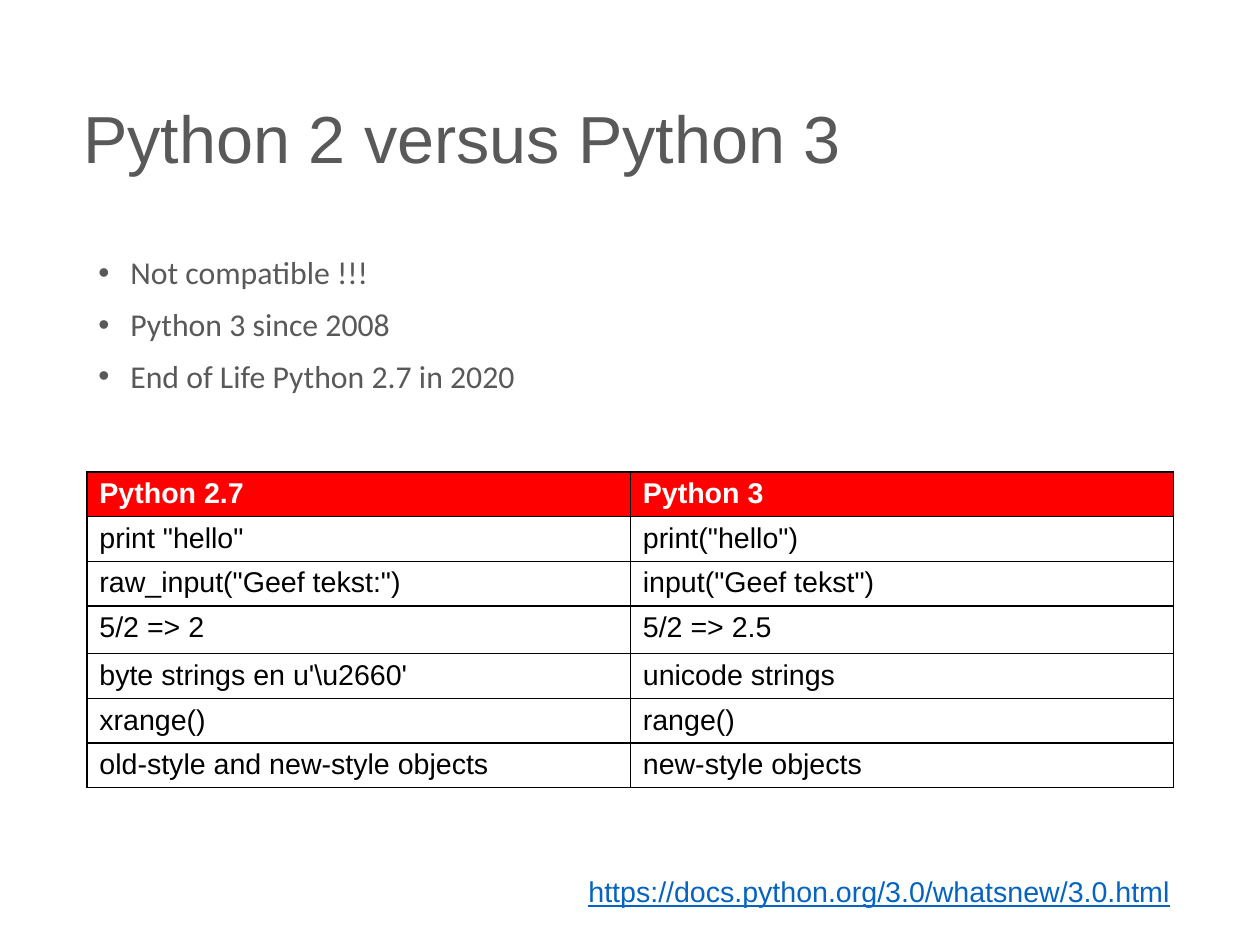
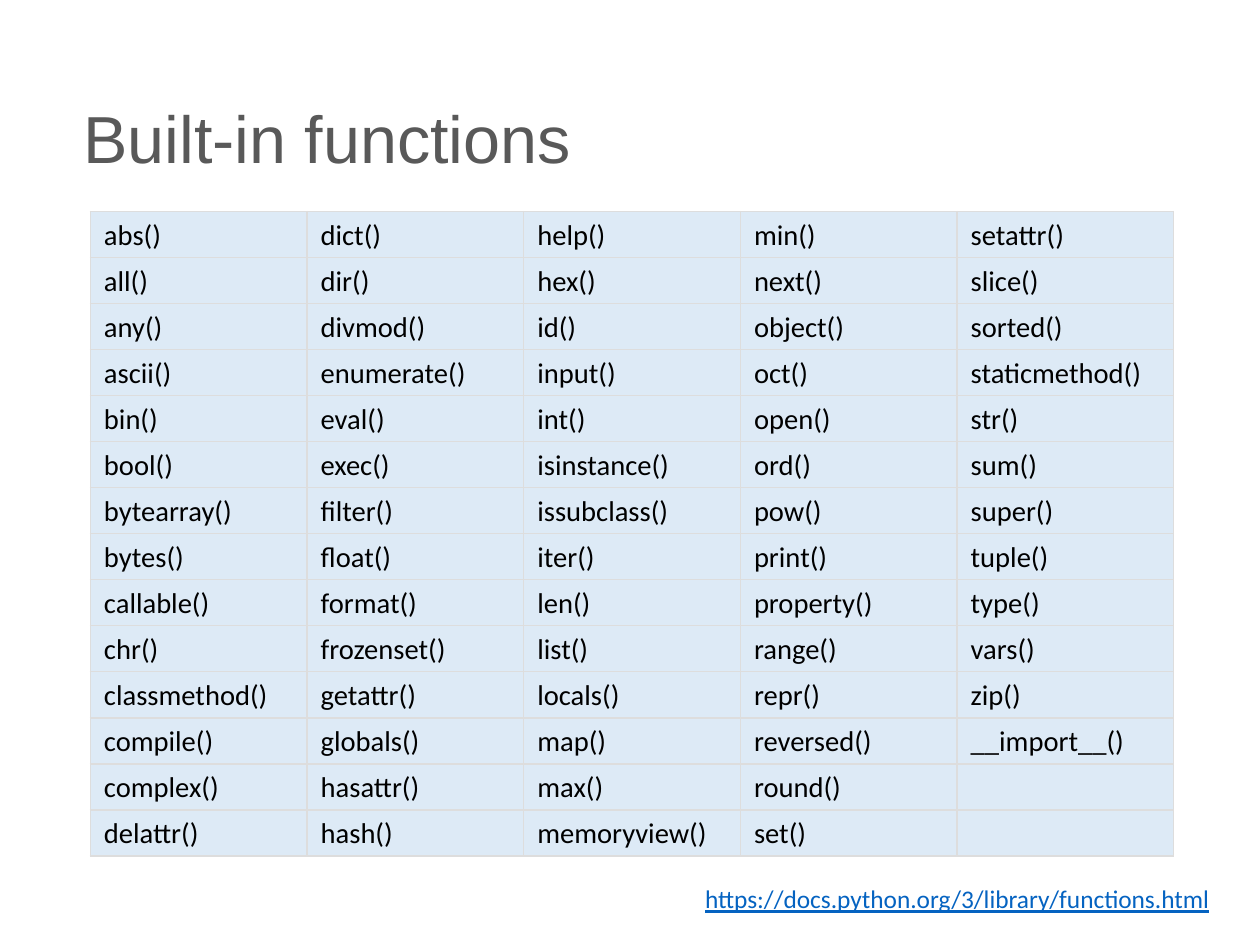
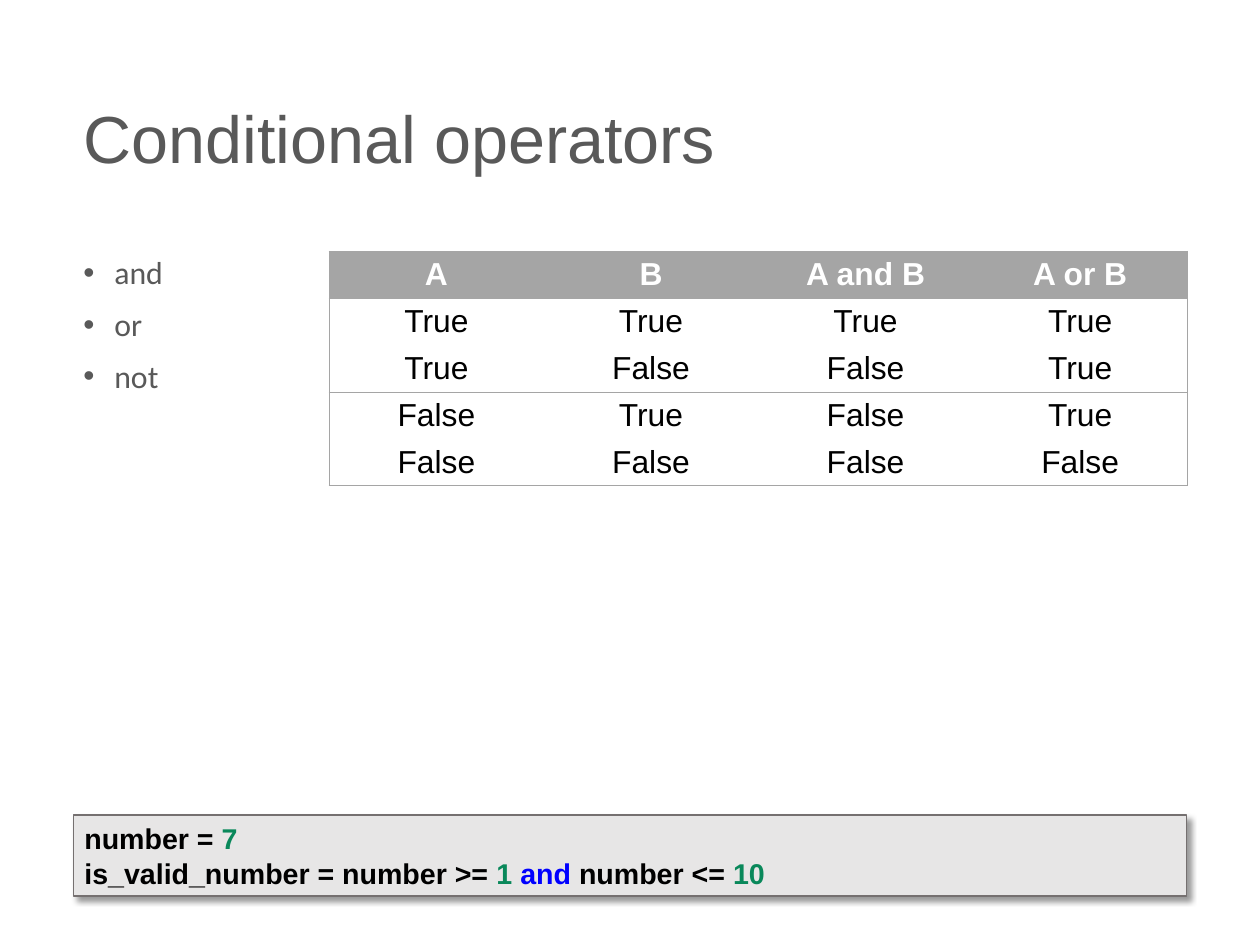
from lxml import etree
from pptx import Presentation
from pptx.dml.color import RGBColor
from pptx.enum import shapes, text
from pptx.oxml import ns
from pptx.util import Cm, Inches, Pt

GREY_TEXT = RGBColor(0x59, 0x59, 0x59)
BLACK = RGBColor(0, 0, 0)
WHITE = RGBColor(0xFF, 0xFF, 0xFF)
RED = RGBColor(0xFF, 0, 0)
LINK_BLUE = RGBColor(0x05, 0x63, 0xC1)
PALE_BLUE = RGBColor(0xDD, 0xEA, 0xF6)
PALE_LINE = RGBColor(0xDD, 0xDD, 0xDD)
TABLE_GREY = RGBColor(0xA5, 0xA5, 0xA5)
CODE_FILL = RGBColor(0xE7, 0xE6, 0xE6)
CODE_LINE = RGBColor(0x75, 0x70, 0x70)
CODE_NUMBER = RGBColor(0x09, 0x88, 0x5A)
CODE_KEYWORD = RGBColor(0, 0, 0xFF)

ARIAL, CALIBRI = "Arial", "Calibri"
TITLE_AND_BODY, TITLE_ONLY = 1, 5
LEFT, CENTER, RIGHT = text.PP_ALIGN.LEFT, text.PP_ALIGN.CENTER, text.PP_ALIGN.RIGHT
TOP, BOTTOM = text.MSO_ANCHOR.TOP, text.MSO_ANCHOR.BOTTOM
ALL_SIDES = "LRTB"

VERSION_ROWS = [
    ("Python 2.7", "Python 3"),
    ('print "hello"', 'print("hello")'),
    ('raw_input("Geef tekst:")', 'input("Geef tekst")'),
    ("5/2 => 2", "5/2 => 2.5"),
    (r"byte strings en u'\u2660'", "unicode strings"),
    ("xrange()", "range()"),
    ("old-style and new-style objects", "new-style objects"),
]
FUNCTION_COLUMNS = [
    "abs all any ascii bin bool bytearray bytes callable chr classmethod "
    "compile complex delattr",
    "dict dir divmod enumerate eval exec filter float format frozenset getattr "
    "globals hasattr hash",
    "help hex id input int isinstance issubclass iter len list locals map max "
    "memoryview",
    "min next object oct open ord pow print property range repr reversed round set",
    "setattr slice sorted staticmethod str sum super tuple type vars zip __import__",
]
TRUTH_ROWS = [
    ("A", "B", "A and B", "A or B"),
    ("True", "True", "True", "True"),
    ("True", "False", "False", "True"),
    ("False", "True", "False", "True"),
    ("False", "False", "False", "False"),
]
CODE_LINES = [
    [("number = ", BLACK), ("7", CODE_NUMBER)],
    [("is_valid_number = number >= ", BLACK), ("1 ", CODE_NUMBER),
     ("and", CODE_KEYWORD), (" number <= ", BLACK), ("10", CODE_NUMBER)],
]


def place(shape, box):
    shape.left, shape.top, shape.width, shape.height = map(Inches, box)


def sub(parent, tag, **attributes):
    return etree.SubElement(parent, ns.qn(tag), attributes)


def add_run(paragraph, words, font, size, color, bold=False, underline=False):
    run = paragraph.add_run()
    run.text = words
    run.font.name, run.font.size = font, Pt(size)
    run.font.color.rgb = color
    run.font.bold, run.font.underline = bold, underline


def add_titled_slide(deck, layout, title):
    slide = deck.slides.add_slide(deck.slide_layouts[layout])
    place(slide.shapes.title, (0.63, 0.44, 9.76, 1.6))
    frame = slide.shapes.title.text_frame
    frame.auto_size = text.MSO_AUTO_SIZE.NONE
    frame.vertical_anchor = text.MSO_ANCHOR.MIDDLE
    heading = frame.paragraphs[0]
    heading.alignment, heading.line_spacing = LEFT, 0.9
    add_run(heading, title, ARIAL, 41.9, GREY_TEXT)
    return slide


def fill_bullets(slide, box, items, indent):
    body = slide.placeholders[1]
    place(body, box)
    frame = body.text_frame
    frame.auto_size = text.MSO_AUTO_SIZE.NONE
    for index, item in enumerate(items):
        bullet = frame.add_paragraph() if index else frame.paragraphs[0]
        properties = bullet._p.get_or_add_pPr()
        properties.set("marL", str(Inches(indent)))
        properties.set("indent", str(-Inches(indent)))
        sub(sub(properties, "a:buClr"), "a:srgbClr", val=str(GREY_TEXT))
        sub(properties, "a:buFont", typeface=ARIAL)
        sub(properties, "a:buChar", char="•")
        bullet.line_spacing = 0.9
        bullet.space_before = Pt(11 if index else 0)
        add_run(bullet, item, CALIBRI, 20, GREY_TEXT)


def set_borders(cell, sides, color, width):
    """Draw the given sides of a cell and clear the others."""
    properties = cell._tc.get_or_add_tcPr()
    for side in ALL_SIDES:
        line = sub(properties, f"a:ln{side}", w=str(Pt(width)))
        if side in sides:
            sub(sub(line, "a:solidFill"), "a:srgbClr", val=str(color))
        else:
            sub(line, "a:noFill")


def add_grid(slide, left, top, width, heights, rows, style):
    """Add a table of equal columns; style(row, column) gives each cell's look."""
    columns = len(rows[0])
    table = slide.shapes.add_table(
        len(rows), columns, Inches(left), Inches(top),
        Inches(width), Inches(sum(heights))).table
    table.first_row = table.horz_banding = False
    for column in table.columns:
        column.width = Inches(width / columns)
    for r, (height, words) in enumerate(zip(heights, rows)):
        table.rows[r].height = Inches(height)
        for c, word in enumerate(words):
            format_cell(table.cell(r, c), word, **style(r, c))


def format_cell(cell, word, font, size, color, fill, border, margins,
                bold=False, align=LEFT, anchor=TOP):
    set_borders(cell, *border)
    if fill is None:
        cell.fill.background()
    else:
        cell.fill.solid()
        cell.fill.fore_color.rgb = fill
    (cell.margin_left, cell.margin_top,
     cell.margin_right, cell.margin_bottom) = map(Inches, margins)
    cell.vertical_anchor = anchor
    paragraph = cell.text_frame.paragraphs[0]
    paragraph.alignment = align
    if word:
        add_run(paragraph, word, font, size, color, bold)


def add_reference(slide, box, address, font, size, align):
    reference = slide.shapes.add_textbox(*map(Inches, box))
    reference.text_frame.word_wrap = True
    paragraph = reference.text_frame.paragraphs[0]
    paragraph.alignment = align
    add_run(paragraph, address, font, size, LINK_BLUE, underline=True)


def add_code_panel(slide, box, lines):
    panel = slide.shapes.add_shape(shapes.MSO_SHAPE.RECTANGLE, *map(Inches, box))
    panel.fill.solid()
    panel.fill.fore_color.rgb = CODE_FILL
    panel.line.color.rgb = CODE_LINE
    panel.line.width = Pt(0.75)
    panel.shadow.inherit = False
    effects = panel._element.spPr.find(ns.qn("a:effectLst"))
    shadow = sub(effects, "a:outerShdw", blurRad=str(Pt(4)), dist=str(Pt(3)),
                 dir=str(45 * 60000), algn="tl", rotWithShape="0")
    sub(sub(shadow, "a:srgbClr", val=str(BLACK)), "a:alpha", val="40000")
    frame = panel.text_frame
    frame.word_wrap = True
    for index, pieces in enumerate(lines):
        code = frame.add_paragraph() if index else frame.paragraphs[0]
        code.alignment = LEFT
        for words, color in pieces:
            add_run(code, words, ARIAL, 18, color, bold=True)


def version_style(row, column):
    header = row == 0
    return dict(font=ARIAL, size=18, color=WHITE if header else BLACK, bold=header,
                fill=RED if header else None, border=(ALL_SIDES, BLACK, 1),
                margins=(0.11, 0.05, 0.11, 0.06))


def function_style(row, column):
    return dict(font=CALIBRI, size=18, color=BLACK, fill=PALE_BLUE,
                border=(ALL_SIDES, PALE_LINE, 1), anchor=BOTTOM,
                margins=(0.12, 0.04, 0.04, 0.04))


def truth_style(row, column):
    """Outline the table and rule it under the header and each pair of rows."""
    header = row == 0
    sides = "T" if row in (0, 1, 3) else ""
    sides += "B" if row in (0, 2, 4) else ""
    sides += {0: "L", 3: "R"}.get(column, "")
    return dict(font=ARIAL, size=20, color=WHITE if header else BLACK, bold=header,
                fill=TABLE_GREY if header else WHITE, align=CENTER,
                border=(sides, TABLE_GREY, 0.75), margins=(0.1, 0.05, 0.1, 0.05))


def build_versions(deck):
    slide = add_titled_slide(deck, TITLE_AND_BODY, "Python 2 versus Python 3")
    fill_bullets(slide, (0.76, 2.2, 9.51, 5.95),
                 ["Not compatible !!!", "Python 3 since 2008",
                  "End of Life Python 2.7 in 2020"], 0.28)
    heights = [0.39] * 3 + [0.42] + [0.39] * 3
    add_grid(slide, 0.76, 4.13, 9.51, heights, VERSION_ROWS, version_style)
    add_reference(slide, (5.05, 7.6, 5.33, 0.4),
                  "https://docs.python.org/3.0/whatsnew/3.0.html", ARIAL, 18, LEFT)


def build_functions(deck):
    slide = add_titled_slide(deck, TITLE_ONLY, "Built-in functions")
    columns = [[f"{name}()" for name in names.split()] for names in FUNCTION_COLUMNS]
    depth = max(map(len, columns))
    rows = list(zip(*(names + [""] * (depth - len(names)) for names in columns)))
    add_grid(slide, 0.79, 1.85, 9.48, [5.64 / depth] * depth, rows, function_style)
    add_reference(slide, (6.01, 7.68, 4.67, 0.37),
                  "https://docs.python.org/3/library/functions.html",
                  CALIBRI, 16, RIGHT)


def build_operators(deck):
    slide = add_titled_slide(deck, TITLE_AND_BODY, "Conditional operators")
    fill_bullets(slide, (0.63, 2.2, 9.76, 5.95), ["and", "or", "not"], 0.27)
    add_grid(slide, 2.88, 2.2, 7.51, [0.41] * len(TRUTH_ROWS), TRUTH_ROWS, truth_style)
    add_code_panel(slide, (0.64, 7.13, 9.74, 0.71), CODE_LINES)


def main():
    deck = Presentation()
    deck.slide_width, deck.slide_height = Cm(28), Cm(21)
    build_versions(deck)
    build_functions(deck)
    build_operators(deck)
    deck.save("out.pptx")


if __name__ == "__main__":
    main()
